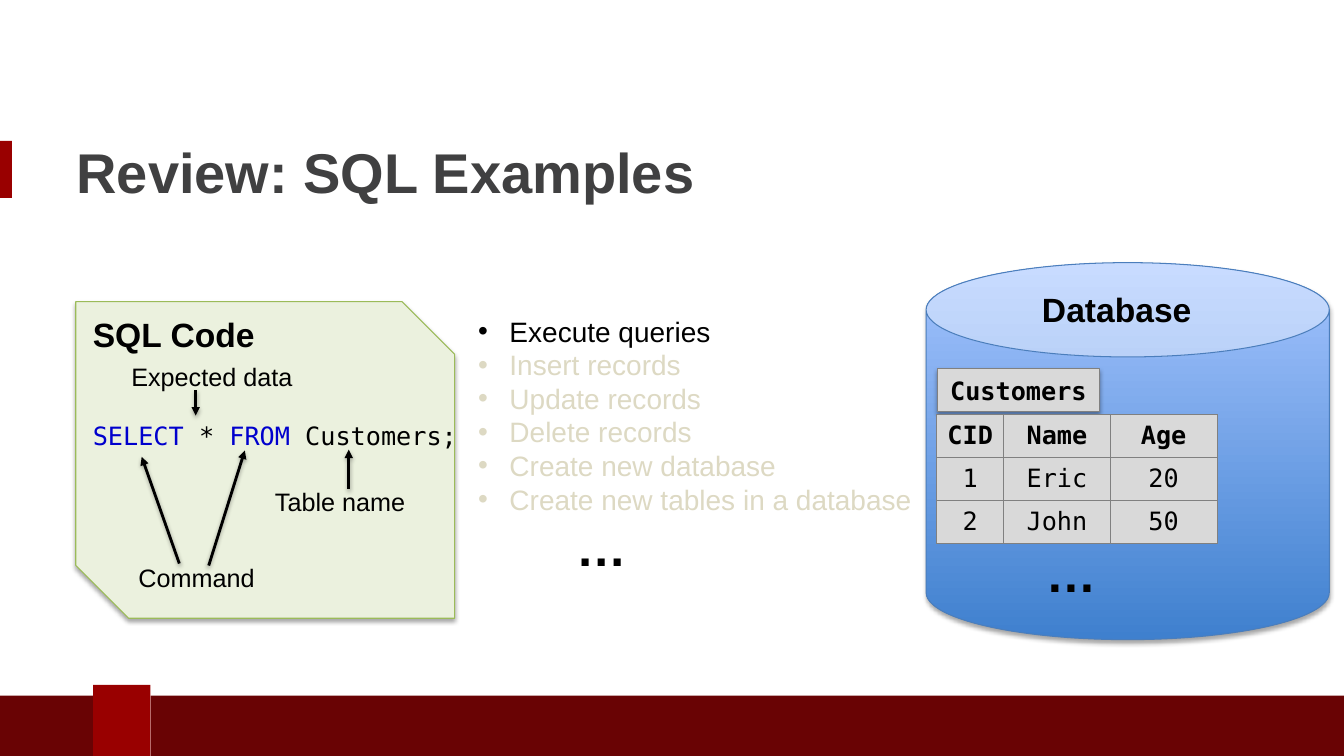
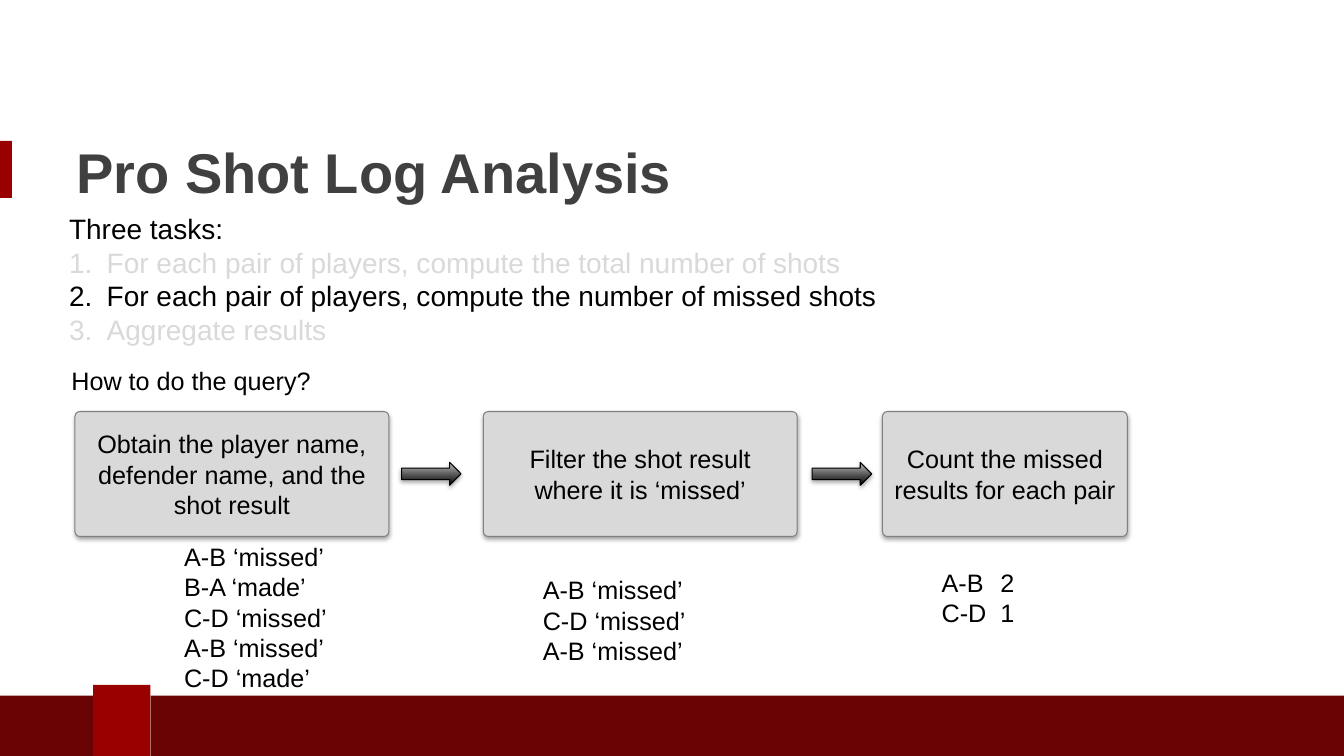
from lxml import etree
from pptx import Presentation, util as u
from pptx.dml.color import RGBColor
from pptx.enum import shapes as s, text as t
from pptx.oxml import parse_xml
from pptx.oxml.ns import nsdecls, qn

RED = RGBColor(0x99, 0x00, 0x00)
DARK = RGBColor(0x69, 0x03, 0x04)
INK = RGBColor(0x40, 0x40, 0x41)
BLACK = RGBColor(0x00, 0x00, 0x00)
BLUE = RGBColor(0x00, 0x00, 0xCD)
SAND = RGBColor(0xDD, 0xD9, 0xC3)
GREY = RGBColor(0xD9, 0xD9, 0xD9)
EDGE = RGBColor(0x80, 0x80, 0x80)
ASH = RGBColor(0xBD, 0xBD, 0xBD)
MINT = RGBColor(0xEB, 0xF1, 0xDE)
GREEN = RGBColor(0x9B, 0xBB, 0x59)
DEEP = RGBColor(0x3F, 0x80, 0xCE)
SKY = RGBColor(0xA4, 0xC4, 0xFF)
RIM = RGBColor(0x4B, 0x7E, 0xBC)

SANS, MONO = "Arial", "DejaVu Sans Mono"
LEFT, MID = t.PP_ALIGN.LEFT, t.PP_ALIGN.CENTER
KIND = s.MSO_SHAPE
DOT = ("a:buChar", "char", "•")
NUM = ("a:buAutoNum", "type", "arabicPeriod")


def write(frame, text, size=18, font=SANS, color=BLACK, bold=False,
          align=LEFT, mark=None, left=0, hang=0, tab=0):
    """Add one paragraph; text is a string or a list of (text, colour) runs."""
    frame.word_wrap = True
    para = frame.paragraphs[0]
    if para.runs:
        para = frame.add_paragraph()
    para.alignment = align
    para.space_before = u.Pt(0)
    props = para._p.get_or_add_pPr()
    if left:
        props.set("marL", str(u.Cm(left)))
        props.set("indent", str(-u.Cm(hang)))
    if mark:
        tag, key, value = mark
        etree.SubElement(props, qn("a:buFont"), typeface=font)
        etree.SubElement(props, qn(tag)).set(key, value)
    if tab:
        stops = etree.SubElement(props, qn("a:tabLst"))
        etree.SubElement(stops, qn("a:tab"), pos=str(u.Cm(tab)), algn="l")
    for part, tint in [(text, color)] if isinstance(text, str) else text:
        run = para.add_run()
        run.text = part
        run.font.size = u.Pt(size)
        run.font.name = font
        run.font.bold = bold
        run.font.color.rgb = tint


def paint(item, line, fill=None, width=0.75):
    """Set outline, fill (a colour, or a bottom-to-top pair) and soft shadow."""
    if isinstance(fill, list):
        item.fill.gradient()
        item.fill.gradient_angle = 90
        for stop, tint in zip(item.fill.gradient_stops, fill):
            stop.color.rgb = tint
    elif fill is not None:
        item.fill.solid()
        item.fill.fore_color.rgb = fill
    item.line.color.rgb = line
    item.line.width = u.Pt(width)
    item.element.spPr.append(parse_xml(
        f'<a:effectLst {nsdecls("a")}><a:outerShdw blurRad="40000" dist="23000" '
        'dir="5400000" rotWithShape="0"><a:srgbClr val="000000">'
        '<a:alpha val="35000"/></a:srgbClr></a:outerShdw></a:effectLst>'))


deck = Presentation()
deck.slide_width, deck.slide_height = u.Cm(33.87), u.Cm(19.05)
layout = deck.slide_layouts[5]

# Shared title place and slides
head = layout.placeholders[0]
head.left, head.top, head.width, head.height = map(u.Cm, (1.93, 3.43, 25.2, 1.75))
for name in ("Review: SQL Examples", "Pro Shot Log Analysis"):
    title = deck.slides.add_slide(layout).shapes.title
    title.left, title.top = head.left, head.top
    title.width, title.height = head.width, head.height
    frame = title.text_frame
    frame.auto_size = t.MSO_AUTO_SIZE.NONE
    frame.vertical_anchor = t.MSO_ANCHOR.MIDDLE
    frame.margin_left = frame.margin_right = 0
    frame.margin_top = frame.margin_bottom = 0
    write(frame, name, size=40, color=INK, bold=True)
first, second = (slide.shapes for slide in deck.slides)

# Shared bands, moved to the layout
bands = [
    (0, 3.55, 0.3, 1.44, RED),
    (0, 17.53, 2.35, 1.52, DARK),
    (3.8, 17.53, 30.07, 1.52, DARK),
    (2.35, 17.26, 1.44, 1.79, RED),
]
for num, (*place, tint) in enumerate(bands):
    band = first.add_shape(KIND.RECTANGLE, *map(u.Cm, place))
    band.shadow.inherit = False
    band.fill.solid()
    band.fill.fore_color.rgb = tint
    band.line.fill.background()
    band.element.nvSpPr.cNvPr.set("id", str(20 + num))
    layout.shapes.element.append(band.element)

# Slide 1: code card and database
can = first.add_shape(KIND.CAN, *map(u.Cm, (23.34, 6.62, 10.16, 9.5)))
paint(can, RIM, [DEEP, SKY])
card = first.add_shape(KIND.SNIP_2_DIAG_RECTANGLE, *map(u.Cm, (1.91, 7.6, 9.55, 7.98)))
paint(card, GREEN, MINT)

query = [("SELECT", BLUE), (" * ", BLACK), ("FROM", BLUE), (" Customers;", BLACK)]
labels = [
    (2.09, 7.78, 6.35, "SQL Code", dict(size=24, bold=True)),
    (26.01, 7.15, 6.75, "Database", dict(size=24, bold=True)),
    (2.09, 10.46, 10.2, query, dict(font=MONO)),
    (26.11, 13.54, 3, "…", dict(size=36, bold=True)),
    (6.68, 12.14, 4.7, "Table name", {}),
    (3.24, 14.05, 5.6, "Command", {}),
    (3.06, 8.99, 5.6, "Expected data", {}),
]
for x, y, w, words, style in labels:
    box = first.add_textbox(*map(u.Cm, (x, y, w, 1.02)))
    write(box.text_frame, words, **style)

tasks = first.add_textbox(*map(u.Cm, (11.8, 7.79, 13.46, 6.93))).text_frame
for words in ("Execute queries", "Insert records", "Update records", "Delete records",
              "Create new database", "Create new tables in a database"):
    tint = BLACK if words == "Execute queries" else SAND
    write(tasks, words, size=20, color=tint, mark=DOT, left=0.79, hang=0.79)
write(tasks, "…", size=36, bold=True, left=2.47)

for ends in ((8.79, 12.32, 8.79, 11.33), (4.52, 14.2, 3.57, 11.51),
             (5.26, 14.25, 6.17, 11.35), (4.93, 9.83, 4.93, 10.47)):
    arrow = first.add_connector(s.MSO_CONNECTOR.STRAIGHT, *map(u.Cm, ends))
    paint(arrow, BLACK, width=2)
    etree.SubElement(arrow.element.spPr.get_or_add_ln(), qn("a:tailEnd"), type="triangle")

# Slide 1: customer table
label = first.add_shape(KIND.RECTANGLE, *map(u.Cm, (23.62, 9.29, 4.09, 1.09)))
paint(label, EDGE, GREY)
label.text_frame.vertical_anchor = t.MSO_ANCHOR.MIDDLE
write(label.text_frame, "Customers", font=MONO, bold=True, align=MID)

rows = [("CID", "Name", "Age"), ("1", "Eric", "20"), ("2", "John", "50")]
table = first.add_table(3, 3, *map(u.Cm, (23.61, 10.45, 7.06, 3.24))).table
for col, w in zip(table.columns, (1.68, 2.69, 2.69)):
    col.width = u.Cm(w)
for r, row in enumerate(rows):
    table.rows[r].height = u.Cm(1.08)
    for c, words in enumerate(row):
        cell = table.cell(r, c)
        cell.margin_left = cell.margin_right = 0
        cell.margin_top = cell.margin_bottom = 0
        cell.vertical_anchor = t.MSO_ANCHOR.MIDDLE
        props = cell._tc.get_or_add_tcPr()
        for side in "LRTB":
            rule = etree.SubElement(props, qn(f"a:ln{side}"), w=str(u.Pt(0.75)))
            ink = etree.SubElement(rule, qn("a:solidFill"))
            etree.SubElement(ink, qn("a:srgbClr"), val=str(EDGE))
        cell.fill.solid()
        cell.fill.fore_color.rgb = GREY
        write(cell.text_frame, words, font=MONO, bold=r == 0, align=MID)

# Slide 2: tasks
goals = second.add_textbox(*map(u.Cm, (1.49, 5.21, 28.9, 3.68))).text_frame
write(goals, "Three tasks:", size=20)
for words, tint in (
        ("For each pair of players, compute the total number of shots", GREY),
        ("For each pair of players, compute the number of missed shots", BLACK),
        ("Aggregate results", GREY)):
    write(goals, words, size=20, color=tint, mark=NUM, left=0.95, hang=0.95)
ask = second.add_textbox(*map(u.Cm, (1.55, 9.09, 8.59, 1.02)))
write(ask.text_frame, "How to do the query?")

# Slide 2: steps, each with its result
steps = [
    (1.89, 7.91, "Obtain the player name, defender name, and the shot result", 4.39, 13.52,
     ["A-B ‘missed’", "B-A ‘made’", "C-D ‘missed’", "A-B ‘missed’", "C-D ‘made’"]),
    (12.18, 7.91, "Filter the shot result where it is ‘missed’", 13.43, 14.36,
     ["A-B ‘missed’", "C-D ‘missed’", "A-B ‘missed’"]),
    (22.24, 6.17, "Count the missed results for each pair", 23.48, 14.16,
     ["A-B\t2", "C-D\t1"]),
]
for x, w, words, left, top, lines in steps:
    step = second.add_shape(KIND.ROUNDED_RECTANGLE, *map(u.Cm, (x, 10.37, w, 3.15)))
    step.adjustments[0] = 0.04
    paint(step, EDGE, GREY)
    step.text_frame.vertical_anchor = t.MSO_ANCHOR.MIDDLE
    write(step.text_frame, words, align=MID)
    out = second.add_textbox(*map(u.Cm, (left, top, 5.4, 0.77 * len(lines) + 0.25)))
    for line in lines:
        write(out.text_frame, line, tab=1.48 if "\t" in line else 0)
for x in (10.12, 20.47):
    arrow = second.add_shape(KIND.RIGHT_ARROW, *map(u.Cm, (x, 11.65, 1.5, 0.58)))
    paint(arrow, BLACK, [BLACK, ASH])

deck.save("out.pptx")
